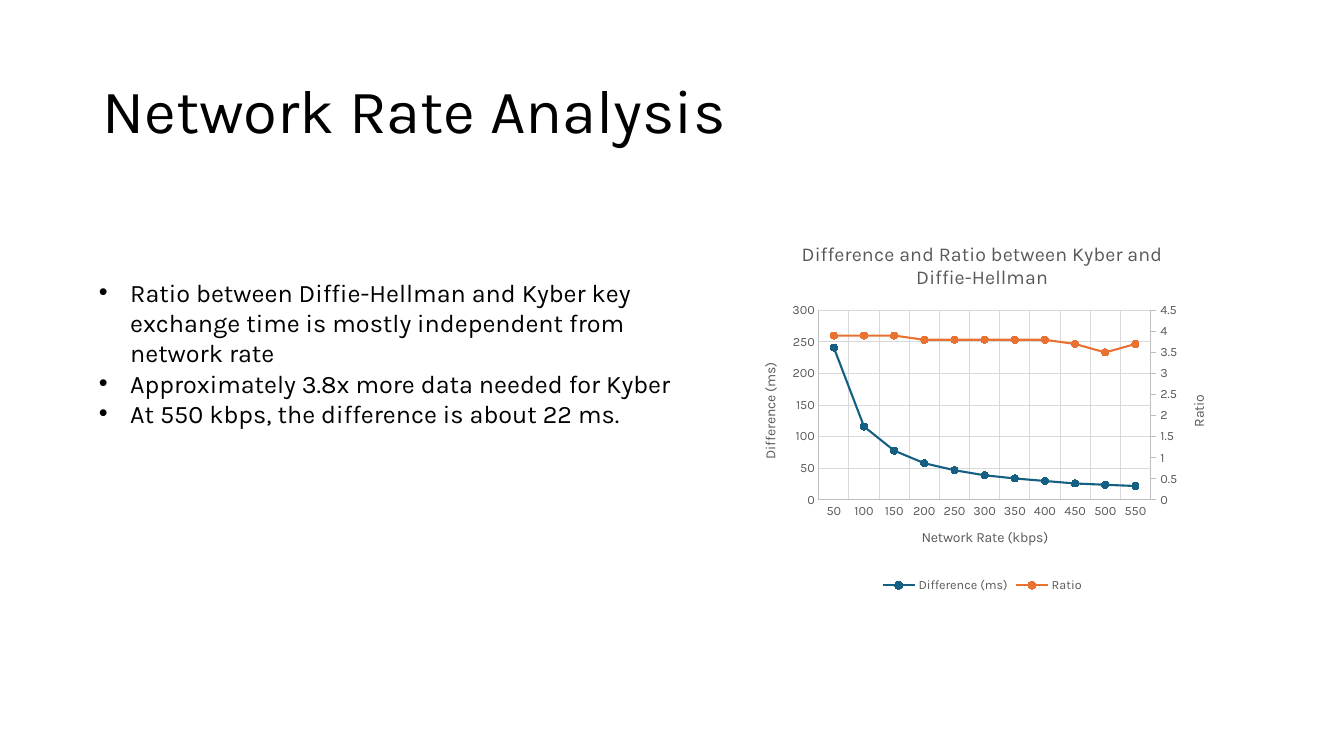
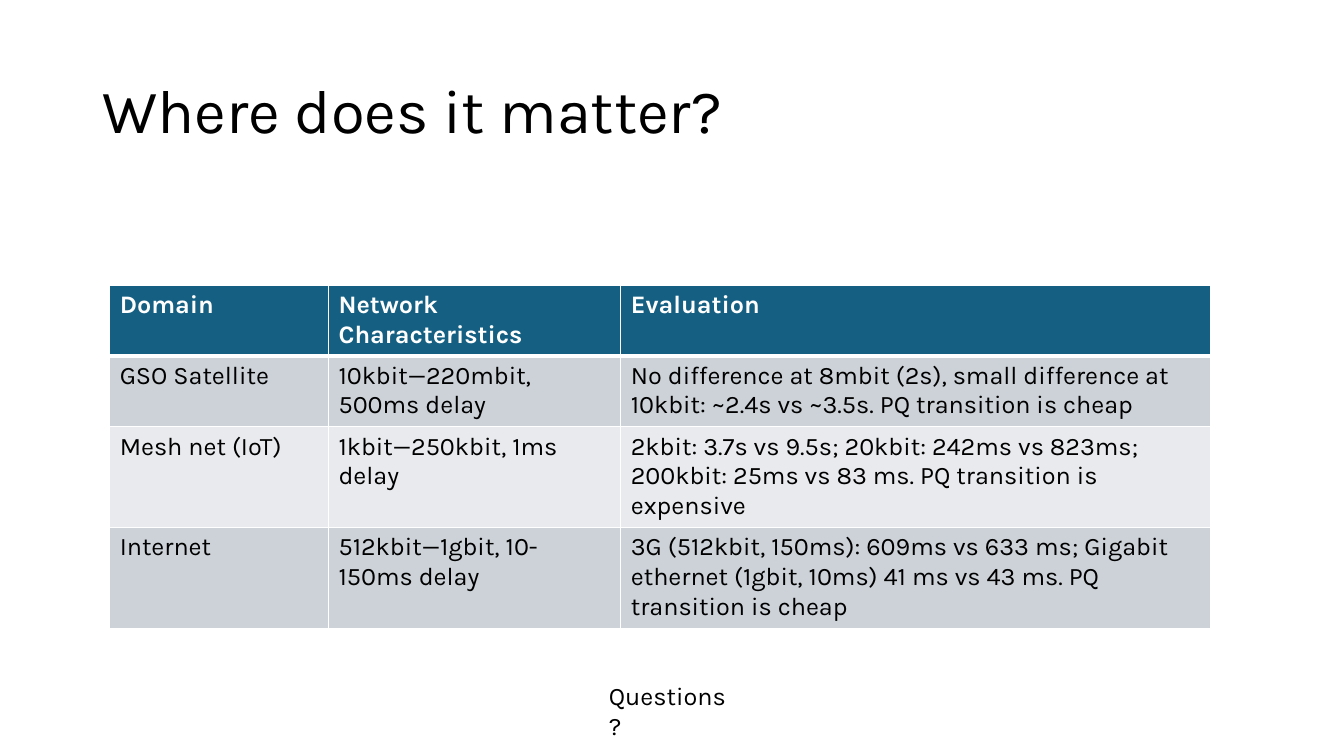
"""Build two slides that weigh Kyber against Diffie-Hellman key exchange."""
from copy import deepcopy
from dataclasses import dataclass

from lxml.etree import SubElement
from pptx import Presentation
from pptx.chart.axis import CategoryAxis, ValueAxis
from pptx.chart.data import CategoryChartData
from pptx.dml.color import RGBColor
from pptx.dml.line import LineFormat
from pptx.enum.chart import XL_CHART_TYPE, XL_LEGEND_POSITION, XL_MARKER_STYLE, XL_TICK_MARK
from pptx.enum.text import MSO_ANCHOR
from pptx.oxml.ns import qn
from pptx.slide import Slide
from pptx.table import _Cell as Cell
from pptx.text.text import Font, TextFrame
from pptx.util import Inches, Pt

WIDE, HIGH = Inches(13.33), Inches(7.5)


@dataclass(frozen=True)
class Theme:
    font: str = "Karla"
    ink: str = "000000"
    paper: str = "FFFFFF"
    blue: str = "156082"
    orange: str = "E97132"
    gray: str = "595959"
    rule: str = "BFBFBF"
    grid: str = "D9D9D9"
    bands: tuple[str, str] = ("CCD2D8", "E8EAED")
    title: int = 44
    body: int = 18
    head: int = 14
    label: int = 10
    tick: int = 9


@dataclass(frozen=True)
class Box:
    left: float
    top: float
    wide: float
    high: float

    def place(self) -> tuple[int, int, int, int]:
        return across(self.left), down(self.top), across(self.wide), down(self.high)


@dataclass(frozen=True)
class Trace:
    name: str
    color: str
    top: float
    step: float
    points: tuple[float, ...]


THEME = Theme()
TITLE = Box(6.88, 5.33, 86.25, 19.33)
POINTS = Box(6.62, 36, 47, 25.6)
CHART = Box(55.2, 29.73, 35.78, 49.2)
TABLE = Box(8.16, 37.73, 81.92, 45.2)
CLOSE = Box(44.56, 89.33, 10.8, 5.33)
PLOT = {"x": 0.16, "y": 0.23, "w": 0.69, "h": 0.51}
COLS = (16.28, 21.75, 43.89)
ROWS = (9.2, 9.4, 13.3, 13.3)
NOTES = (
    "Ratio between Diffie-Hellman and Kyber key exchange time is mostly independent from network rate",
    "Approximately 3.8x more data needed for Kyber",
    "At 550 kbps, the difference is about 22 ms.",
)
TRACES = (
    Trace("Difference (ms)", THEME.blue, 300, 50,
          (241, 116, 78, 58, 47, 39, 34, 30, 26, 24, 22)),
    Trace("Ratio", THEME.orange, 4.5, 0.5,
          (3.9, 3.9, 3.9, 3.8, 3.8, 3.8, 3.8, 3.8, 3.7, 3.5, 3.7)),
)
CELLS = (
    ("Domain", "Network Characteristics", "Evaluation"),
    ("GSO Satellite", "10kbit—220mbit, 500ms delay",
     "No difference at 8mbit (2s), small difference at 10kbit: ~2.4s vs ~3.5s. "
     "PQ transition is cheap"),
    ("Mesh net (IoT)", "1kbit—250kbit, 1ms delay",
     "2kbit: 3.7s vs 9.5s; 20kbit: 242ms vs 823ms; 200kbit: 25ms vs 83 ms. "
     "PQ transition is expensive"),
    ("Internet", "512kbit—1gbit, 10-150ms delay",
     "3G (512kbit, 150ms): 609ms vs 633 ms; Gigabit ethernet (1gbit, 10ms) 41 ms vs 43 ms. "
     "PQ transition is cheap"),
)


def across(share: float) -> int:
    return round(WIDE * share / 100)


def down(share: float) -> int:
    return round(HIGH * share / 100)


def tint(color: str) -> RGBColor:
    return RGBColor.from_string(color)


def style(font: Font, size: int, color: str = THEME.ink, bold: bool = False) -> None:
    font.name, font.size, font.bold = THEME.font, Pt(size), bold
    font.color.rgb = tint(color)


def dress(frame: TextFrame, size: int, color: str = THEME.ink, bold: bool = False) -> None:
    for para in frame.paragraphs:
        for run in para.runs:
            style(run.font, size, color, bold)


def stroke(line: LineFormat, color: str, width: float = 0.75) -> None:
    line.color.rgb = tint(color)
    line.width = Pt(width)


def write(slide: Slide, box: Box, text: str, size: int = THEME.body) -> TextFrame:
    frame = slide.shapes.add_textbox(*box.place()).text_frame
    frame.word_wrap = True
    frame.text = text
    dress(frame, size)
    return frame


def start(deck: Presentation, text: str) -> Slide:
    slide = deck.slides.add_slide(deck.slide_layouts[6])
    frame = write(slide, TITLE, text, THEME.title)
    frame.vertical_anchor = MSO_ANCHOR.MIDDLE
    frame.paragraphs[0].line_spacing = 0.9
    return slide


def list_notes(slide: Slide) -> None:
    frame = write(slide, POINTS, "\n".join(NOTES))
    for para in frame.paragraphs:
        props = para._p.get_or_add_pPr()
        props.set("marL", str(Inches(0.31)))
        props.set("indent", str(-Inches(0.31)))
        SubElement(props, qn("a:buFont"), typeface="Arial")
        SubElement(props, qn("a:buChar"), char="•")


def set_axis(axis: CategoryAxis | ValueAxis, title: str) -> None:
    frame = axis.axis_title.text_frame
    frame.text = title
    dress(frame, THEME.label, THEME.gray)
    style(axis.tick_labels.font, THEME.tick, THEME.gray)
    axis.major_tick_mark = XL_TICK_MARK.NONE
    axis.has_major_gridlines = True
    stroke(axis.format.line, THEME.rule)
    stroke(axis.major_gridlines.format.line, THEME.grid)


def set_scale(axis: ValueAxis, trace: Trace) -> None:
    set_axis(axis, trace.name)
    axis.minimum_scale, axis.maximum_scale = 0, trace.top
    axis.major_unit = trace.step


def add_right(area, trace: Trace) -> None:
    first, cat, val = (area.find(qn(tag)) for tag in ("c:lineChart", "c:catAx", "c:valAx"))
    plot, base, side = (deepcopy(node) for node in (first, cat, val))
    first.remove(first.findall(qn("c:ser"))[1])
    plot.remove(plot.findall(qn("c:ser"))[0])
    swap = {cat.find(qn("c:axId")).get("val"): "501", val.find(qn("c:axId")).get("val"): "502"}
    for node in (plot, base, side):
        for link in node.iter(qn("c:axId"), qn("c:crossAx")):
            link.set("val", swap[link.get("val")])
    first.addnext(plot)
    val.addnext(side)
    side.addnext(base)
    axis = ValueAxis(side)
    set_scale(axis, trace)
    axis.has_major_gridlines = False
    axis.major_tick_mark = XL_TICK_MARK.OUTSIDE
    side.find(qn("c:axPos")).set("val", "r")
    side.find(qn("c:crosses")).set("val", "max")
    under = CategoryAxis(base)
    under.has_title = under.has_major_gridlines = under.visible = False


def fix_plot(area) -> None:
    for old in area.findall(qn("c:layout")):
        area.remove(old)
    outer = SubElement(area, qn("c:layout"))
    area.insert(0, outer)
    inner = SubElement(outer, qn("c:manualLayout"))
    SubElement(inner, qn("c:layoutTarget"), val="inner")
    for key in "xy":
        SubElement(inner, qn(f"c:{key}Mode"), val="edge")
    for key, share in PLOT.items():
        SubElement(inner, qn(f"c:{key}"), val=str(share))


def turn_side(val) -> None:
    val.find(".//" + qn("a:bodyPr")).set("rot", "-5400000")
    for old in val.findall(qn("c:crossBetween")):
        val.remove(old)
    between = SubElement(val, qn("c:crossBetween"), val="between")
    val.find(qn("c:crosses")).addnext(between)


def draw_chart(slide: Slide) -> None:
    data = CategoryChartData()
    data.categories = [str(rate) for rate in range(50, 551, 50)]
    for trace in TRACES:
        data.add_series(trace.name, trace.points)
    kind = XL_CHART_TYPE.LINE_MARKERS_STACKED
    chart = slide.shapes.add_chart(kind, *CHART.place(), data).chart
    style(chart.font, THEME.label)
    chart.has_title = True
    frame = chart.chart_title.text_frame
    frame.text = "Difference and Ratio between Kyber and Diffie-Hellman"
    dress(frame, THEME.head, THEME.gray)
    chart.chart_title.include_in_layout = False
    chart.has_legend = True
    chart.legend.position = XL_LEGEND_POSITION.BOTTOM
    chart.legend.include_in_layout = False
    style(chart.legend.font, THEME.tick, THEME.gray)
    chart.plots[0].vary_by_categories = False
    for line, trace in zip(chart.plots[0].series, TRACES):
        line.smooth = False
        stroke(line.format.line, trace.color, 1.5)
        line.marker.style, line.marker.size = XL_MARKER_STYLE.CIRCLE, 5
        line.marker.format.fill.solid()
        line.marker.format.fill.fore_color.rgb = tint(trace.color)
        stroke(line.marker.format.line, trace.color)
    set_axis(chart.category_axis, "Network Rate (kbps)")
    set_scale(chart.value_axis, TRACES[0])
    area = chart.element.find(".//" + qn("c:plotArea"))
    turn_side(area.find(qn("c:valAx")))
    add_right(area, TRACES[1])
    fix_plot(area)


def edge(cell: Cell, row: int) -> None:
    props = cell._tc.get_or_add_tcPr()
    widths = {"L": 1, "R": 1, "T": 3 if row == 1 else 1, "B": 3 if row == 0 else 1}
    for spot, (side, width) in enumerate(widths.items()):
        line = SubElement(props, qn(f"a:ln{side}"), w=str(Pt(width)))
        fill = SubElement(line, qn("a:solidFill"))
        SubElement(fill, qn("a:srgbClr"), val=THEME.paper)
        props.insert(spot, line)


def draw_table(slide: Slide) -> None:
    table = slide.shapes.add_table(len(ROWS), len(COLS), *TABLE.place()).table
    for col, share in zip(table.columns, COLS):
        col.width = across(share)
    for row, (share, texts) in enumerate(zip(ROWS, CELLS)):
        table.rows[row].height = down(share)
        head = row == 0
        for col, text in enumerate(texts):
            cell = table.cell(row, col)
            cell.text_frame.text = text
            dress(cell.text_frame, THEME.body, THEME.paper if head else THEME.ink, head)
            cell.fill.solid()
            cell.fill.fore_color.rgb = tint(THEME.blue if head else THEME.bands[(row - 1) % 2])
            edge(cell, row)


def main() -> None:
    deck = Presentation()
    deck.slide_width, deck.slide_height = WIDE, HIGH
    rates = start(deck, "Network Rate Analysis")
    list_notes(rates)
    draw_chart(rates)
    fields = start(deck, "Where does it matter?")
    write(fields, CLOSE, "Questions?")
    draw_table(fields)
    deck.save("out.pptx")


if __name__ == "__main__":
    main()
